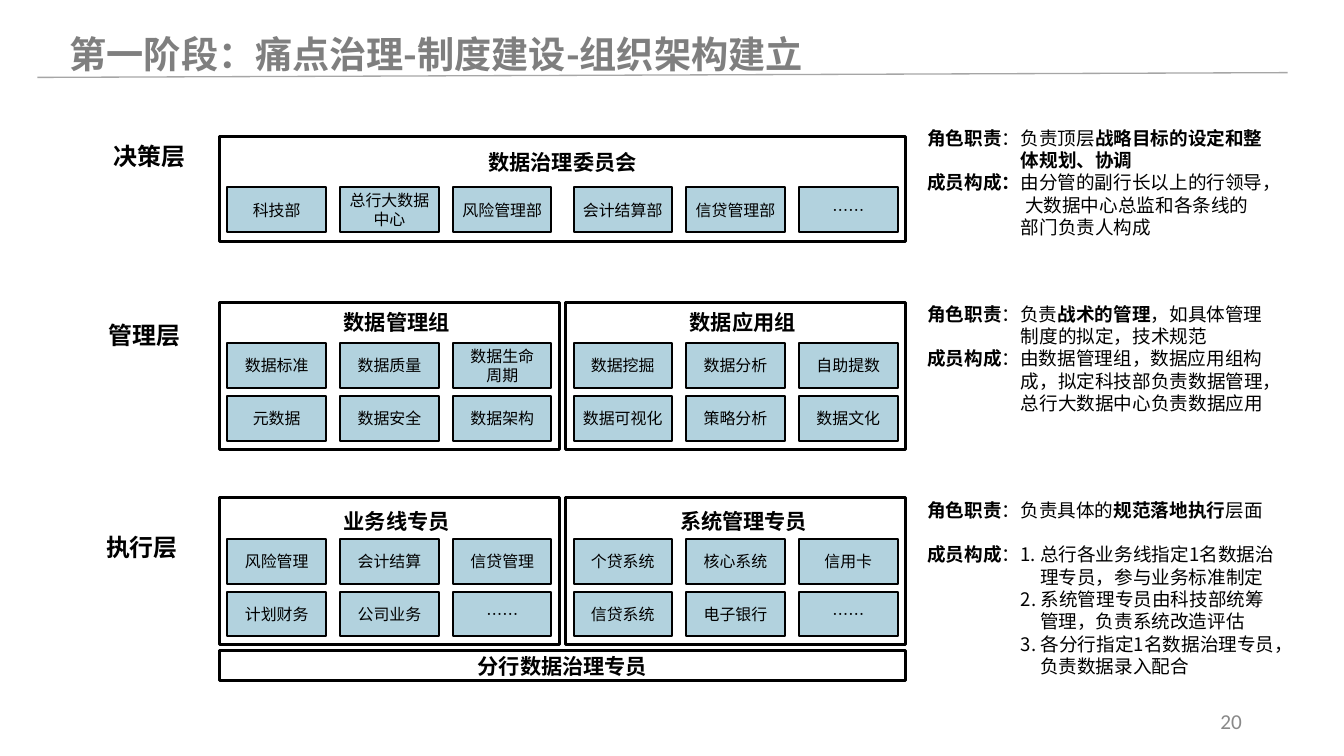
"""Builds the slide on the three-layer data governance organisation."""
from lxml.etree import SubElement
from pptx import Presentation
from pptx.dml.color import RGBColor
from pptx.enum.shapes import MSO_CONNECTOR, MSO_SHAPE
from pptx.enum.text import MSO_ANCHOR, PP_ALIGN
from pptx.oxml.ns import qn
from pptx.util import Inches, Pt

COLORS = {"ink": "000000", "chip": "B2D2DE", "paper": "FFFFFF",
          "title": "7F7F7F", "rule": "A6A6A6", "number": "898989"}
FONT = "Noto Sans CJK SC"

deck = Presentation()
deck.slide_width, deck.slide_height = Inches(14.06), Inches(7.91)
page = deck.slides.add_slide(deck.slide_layouts[6])


def write(box, text, size=14, bold=False, color="ink", font=FONT, align=PP_ALIGN.LEFT,
          anchor=MSO_ANCHOR.MIDDLE, inset=(0.1, 0.05), indents=(), gaps=()):
    """Fill a box, one paragraph per line; asterisks switch bold on and off."""
    frame = box.text_frame
    frame.word_wrap = True
    frame.vertical_anchor = anchor
    frame.margin_left = frame.margin_right = Inches(inset[0])
    frame.margin_top = frame.margin_bottom = Inches(inset[1])
    for index, line in enumerate(text.split("\n")):
        para = frame.paragraphs[0] if index == 0 else frame.add_paragraph()
        para.alignment = align
        para.line_spacing = Pt(size * 1.2)
        if indents:
            margin, first = indents[index]
            properties = para._p.get_or_add_pPr()
            properties.set("marL", str(Inches(margin)))
            properties.set("indent", str(Inches(first)))
        if gaps:
            para.space_before = Pt(gaps[index])
        for order, part in enumerate(line.split("*")):
            if part:
                span = para.add_run()
                span.text = part
                span.font.size = Pt(size)
                span.font.bold = bold or order % 2 == 1
                span.font.name = font
                span.font.color.rgb = RGBColor.from_string(COLORS[color])
                SubElement(span.font._element, qn("a:ea")).set("typeface", font)


def add_box(left, top, width, height, fill=None, line=None, weight=1.5, text="", **style):
    """Add a rectangle, or a text box when it has neither fill nor line."""
    place = [Inches(length) for length in (left, top, width, height)]
    if line:
        box = page.shapes.add_shape(MSO_SHAPE.RECTANGLE, *place)
        box.shadow.inherit = False
        box.line.color.rgb = RGBColor.from_string(COLORS[line])
        box.line.width = Pt(weight)
        if fill:
            box.fill.solid()
            box.fill.fore_color.rgb = RGBColor.from_string(COLORS[fill])
        else:
            box.fill.background()
    else:
        box = page.shapes.add_textbox(*place)
    if text:
        write(box, text, **style)


rule = page.shapes.add_connector(MSO_CONNECTOR.STRAIGHT, Inches(0.39), Inches(0.81),
                                 Inches(13.47), Inches(0.76))
rule.line.color.rgb = RGBColor.from_string(COLORS["rule"])
rule.line.width = Pt(1)
SubElement(rule._element.spPr, qn("a:effectLst"))

add_box(0.73, 0.33, 8.21, 0.47, text="第一阶段：痛点治理-制度建设-组织架构建立",
        size=28, bold=True, color="title", inset=(0, 0))
add_box(9.93, 7.33, 3.16, 0.42, text="20", size=16, color="number", font="Calibri",
        align=PP_ALIGN.RIGHT)

panels = [
    ((2.3, 1.43, 7.17, 1.1), "数据治理委员会", (4.9, 1.51, 1.97)),
    ((2.3, 3.17, 3.55, 1.53), "数据管理组", (3.48, 3.19, 1.34)),
    ((5.92, 3.17, 3.55, 1.53), "数据应用组", (7.1, 3.19, 1.34)),
    ((2.3, 5.21, 3.55, 1.53), "业务线专员", (3.48, 5.27, 1.34)),
    ((5.92, 5.21, 3.55, 1.53), "系统管理专员", (6.95, 5.27, 1.66)),
]
for frame_place, heading, (left, top, width) in panels:
    add_box(left, top, width, 0.37, line="paper", weight=0.5, text=heading, size=16,
            bold=True, align=PP_ALIGN.CENTER, anchor=MSO_ANCHOR.TOP)
    add_box(*frame_place, line="ink", weight=2.25)
add_box(2.3, 6.81, 7.17, 0.31, line="ink", weight=2.25, text="分行数据治理专员",
        size=16, bold=True, align=PP_ALIGN.CENTER, inset=(0.1, 0))

chip_rows = [
    (1.96, ["科技部", "总行大数据中心", "风险管理部", "会计结算部", "信贷管理部", "……"]),
    (3.59, ["数据标准", "数据质量", "数据生命\n周期", "数据挖掘", "数据分析", "自助提数"]),
    (4.14, ["元数据", "数据安全", "数据架构", "数据可视化", "策略分析", "数据文化"]),
    (5.64, ["风险管理", "会计结算", "信贷管理", "个贷系统", "核心系统", "信用卡"]),
    (6.19, ["计划财务", "公司业务", "……", "信贷系统", "电子银行", "……"]),
]
for top, names in chip_rows:
    for index, name in enumerate(names):
        half, column = divmod(index, 3)
        add_box(2.38 + half * 3.62 + column * 1.18, top, 1.03, 0.47, fill="chip", line="ink",
                text=name, size=12, align=PP_ALIGN.CENTER, inset=(0.05, 0.03))

layers = [("决策层", 0.89, 1.43, 1.34), ("管理层", 0.92, 3.31, 1.18), ("执行层", 0.96, 5.52, 1.05)]
for name, left, top, width in layers:
    add_box(left, top, width, 0.4, text=name, size=18, bold=True, align=PP_ALIGN.CENTER,
            anchor=MSO_ANCHOR.TOP)

hanging = (0.98, -0.98)
duties = [
    (1.32, 3.52, 1.18, [hanging] * 2, [0, 0],
     "*角色职责*：负责顶层*战略目标的设定和整体规划、协调*\n"
     "*成员构成：*由分管的副行长以上的行领导， 大数据中心总监和各条线的部门负责人构成"),
    (3.06, 3.53, 1.38, [hanging] * 2, [0, 0],
     "*角色职责*：负责*战术的管理*，如具体管理制度的拟定，技术规范\n"
     "*成员构成*：由数据管理组，数据应用组构成，拟定科技部负责数据管理，总行大数据中心负责数据应用"),
    (5.21, 3.71, 1.88, [(0, 0), (1.18, -1.18), (1.18, -0.2), (1.18, -0.2)], [0, 16.8, 0, 0],
     "*角色职责*：负责具体的*规范落地执行*层面\n"
     "*成员构成*：1. 总行各业务线指定1名数据治理专员，参与业务标准制定\n"
     "2. 系统管理专员由科技部统筹管理，负责系统改造评估\n"
     "3. 各分行指定1名数据治理专员，负责数据录入配合"),
]
for top, width, height, indents, gaps, text in duties:
    add_box(9.7, top, width, height, text=text, inset=(0, 0), indents=indents, gaps=gaps)

deck.save("out.pptx")
